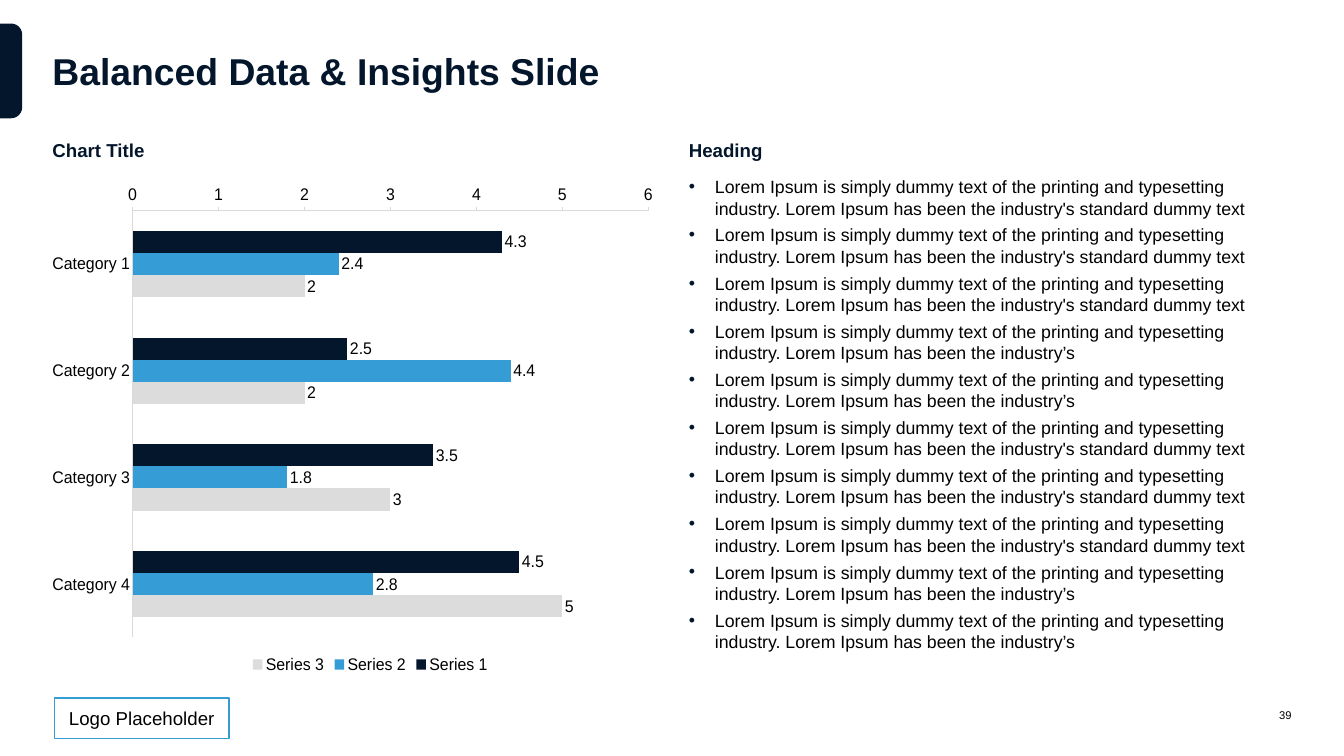
from dataclasses import dataclass

from lxml.etree import SubElement
from pptx import Presentation
from pptx.chart.data import CategoryChartData
from pptx.dml.color import RGBColor
from pptx.enum.chart import XL_CHART_TYPE, XL_LABEL_POSITION, XL_LEGEND_POSITION, XL_TICK_MARK
from pptx.enum.shapes import MSO_SHAPE
from pptx.enum.text import MSO_ANCHOR, PP_ALIGN
from pptx.oxml import parse_xml
from pptx.oxml.ns import nsdecls, qn
from pptx.util import Inches, Pt

NAVY, BLUE, GREY = "04162B", "359CD5", "DCDCDC"
BLACK, WHITE, AXIS_GREY = "000000", "FFFFFF", "D9D9D9"
FONT = "Arial"
LEFT, COLUMN_LEFT, CONTENT_TOP, COLUMN_WIDTH = 0.78, 10.25, 2.07, 8.97

SENTENCE = "Lorem Ipsum is simply dummy text of the printing and typesetting industry. Lorem Ipsum has been the "
LONG = SENTENCE + "industry's standard dummy text"
SHORT = SENTENCE + "industry’s"
INSIGHTS = [LONG] * 3 + [SHORT] * 2 + [LONG] * 3 + [SHORT] * 2


@dataclass(frozen=True)
class Box:
    left: float
    top: float
    width: float
    height: float

    def lengths(self) -> tuple:
        return tuple(Inches(value) for value in (self.left, self.top, self.width, self.height))


@dataclass(frozen=True)
class TextBlock:
    box: Box
    lines: list
    size: float
    color: str = BLACK
    bold: bool = False
    align: PP_ALIGN = PP_ALIGN.LEFT
    anchor: MSO_ANCHOR = MSO_ANCHOR.TOP
    bulleted: bool = False


@dataclass(frozen=True)
class Series:
    name: str
    values: tuple
    color: str


TEXT_BLOCKS = [
    TextBlock(Box(LEFT, 0.35, 18.44, 1.39), ["Balanced Data & Insights Slide"], 40, NAVY, True,
              anchor=MSO_ANCHOR.MIDDLE),
    TextBlock(Box(LEFT, CONTENT_TOP, 8.72, 0.34), ["Chart Title"], 20, NAVY, True),
    TextBlock(Box(COLUMN_LEFT, CONTENT_TOP, COLUMN_WIDTH, 0.34), ["Heading"], 20, NAVY, True),
    TextBlock(Box(COLUMN_LEFT, 2.62, COLUMN_WIDTH, 7.15), INSIGHTS, 19, bulleted=True),
    TextBlock(Box(18.34, 10.39, 0.88, 0.51), ["39"], 12, align=PP_ALIGN.RIGHT, anchor=MSO_ANCHOR.MIDDLE),
]

CATEGORIES = [f"Category {number}" for number in range(1, 5)]
SERIES = [
    Series("Series 1", (4.3, 2.5, 3.5, 4.5), NAVY),
    Series("Series 2", (2.4, 4.4, 1.8, 2.8), BLUE),
    Series("Series 3", (2, 2, 3, 5), GREY),
]
PLOT_LAYOUT = {"x": 0.083, "y": 0.133, "w": 0.905, "h": 0.793}


def rgb(color: str) -> RGBColor:
    return RGBColor.from_string(color)


def set_all(target, values: dict) -> None:
    for name, value in values.items():
        setattr(target, name, value)


def set_font(font, size: float, color: str = BLACK, bold: bool = False) -> None:
    set_all(font, {"name": FONT, "size": Pt(size), "bold": bold})
    font.color.rgb = rgb(color)


def paint(shape, fill: str, line: str | None = None) -> None:
    shape.shadow.inherit = False
    shape.fill.solid()
    shape.fill.fore_color.rgb = rgb(fill)
    if line:
        shape.line.color.rgb = rgb(line)
        shape.line.width = Pt(1.5)
    else:
        shape.line.fill.background()


def add_bullet(paragraph) -> None:
    properties = paragraph._p.get_or_add_pPr()
    indent = Inches(0.39)
    properties.set("marL", str(indent))
    properties.set("indent", str(-indent))
    color = SubElement(properties, qn("a:buClr"))
    SubElement(color, qn("a:srgbClr")).set("val", NAVY)
    SubElement(properties, qn("a:buFont")).set("typeface", FONT)
    SubElement(properties, qn("a:buChar")).set("char", "•")


def draw_text(slide, block: TextBlock) -> None:
    frame = slide.shapes.add_textbox(*block.box.lengths()).text_frame
    set_all(frame, {"word_wrap": True, "vertical_anchor": block.anchor, "margin_left": 0,
                    "margin_right": 0, "margin_top": 0, "margin_bottom": 0})
    for index, line in enumerate(block.lines):
        paragraph = frame.add_paragraph() if index else frame.paragraphs[0]
        paragraph.alignment = block.align
        if block.anchor == MSO_ANCHOR.TOP:
            set_all(paragraph, {"line_spacing": Pt(block.size * 1.2), "space_after": Pt(3),
                                "space_before": Pt(3 if index else 0)})
        if block.bulleted:
            add_bullet(paragraph)
        run = paragraph.add_run()
        run.text = line
        set_font(run.font, block.size, block.color, block.bold)


def draw_tab(slide) -> None:
    tab = slide.shapes.add_shape(MSO_SHAPE.ROUND_2_SAME_RECTANGLE, *Box(-0.54, 0.89, 1.41, 0.33).lengths())
    tab.rotation = 90
    tab.adjustments[0] = 0.5
    paint(tab, NAVY)


def draw_logo_placeholder(slide) -> None:
    shape = slide.shapes.add_shape(MSO_SHAPE.ROUNDED_RECTANGLE, *Box(0.81, 10.39, 2.6, 0.6).lengths())
    shape.adjustments[0] = 0
    paint(shape, WHITE, BLUE)
    shape.text_frame.vertical_anchor = MSO_ANCHOR.MIDDLE
    paragraph = shape.text_frame.paragraphs[0]
    paragraph.alignment = PP_ALIGN.CENTER
    run = paragraph.add_run()
    run.text = "Logo Placeholder"
    set_font(run.font, 20)


def set_plot_layout(chart) -> None:
    plot_area = chart._chartSpace.chart.plotArea
    for layout in plot_area.findall(qn("c:layout")):
        plot_area.remove(layout)
    sizes = "".join(f'<c:{key} val="{value}"/>' for key, value in PLOT_LAYOUT.items())
    plot_area.insert(0, parse_xml(
        f'<c:layout {nsdecls("c")}><c:manualLayout><c:layoutTarget val="inner"/>'
        f'<c:xMode val="edge"/><c:yMode val="edge"/>{sizes}</c:manualLayout></c:layout>'))


def draw_chart(slide) -> None:
    data = CategoryChartData()
    data.categories = CATEGORIES
    for series in SERIES:
        data.add_series(series.name, series.values)
    box = Box(LEFT, CONTENT_TOP, COLUMN_WIDTH, 8.01)
    chart = slide.shapes.add_chart(XL_CHART_TYPE.BAR_CLUSTERED, *box.lengths(), data).chart
    set_all(chart, {"has_title": False, "has_legend": True})
    set_font(chart.font, 18)
    set_all(chart.legend, {"position": XL_LEGEND_POSITION.BOTTOM, "include_in_layout": False})
    set_font(chart.legend.font, 18)
    ticks = {chart.category_axis: XL_TICK_MARK.NONE, chart.value_axis: XL_TICK_MARK.OUTSIDE}
    for axis, tick in ticks.items():
        set_all(axis, {"has_major_gridlines": False, "major_tick_mark": tick,
                       "minor_tick_mark": XL_TICK_MARK.NONE})
        axis.format.line.color.rgb = rgb(AXIS_GREY)
        axis.format.line.width = Pt(0.75)
        set_font(axis.tick_labels.font, 18)
    chart.category_axis.reverse_order = True
    set_all(chart.value_axis, {"minimum_scale": 0, "maximum_scale": 6, "major_unit": 1})
    plot = chart.plots[0]
    set_all(plot, {"gap_width": 182, "overlap": 0, "vary_by_categories": False})
    for series, style in zip(plot.series, SERIES):
        series.format.fill.solid()
        series.format.fill.fore_color.rgb = rgb(style.color)
        series.invert_if_negative = False
        set_all(series.data_labels, {"show_value": True, "position": XL_LABEL_POSITION.OUTSIDE_END})
        set_font(series.data_labels.font, 18)
    set_plot_layout(chart)


def main() -> None:
    presentation = Presentation()
    set_all(presentation, {"slide_width": Inches(20), "slide_height": Inches(11.25)})
    slide = presentation.slides.add_slide(presentation.slide_layouts[6])
    draw_tab(slide)
    draw_logo_placeholder(slide)
    draw_chart(slide)
    for block in TEXT_BLOCKS:
        draw_text(slide, block)
    presentation.save("out.pptx")


if __name__ == "__main__":
    main()
